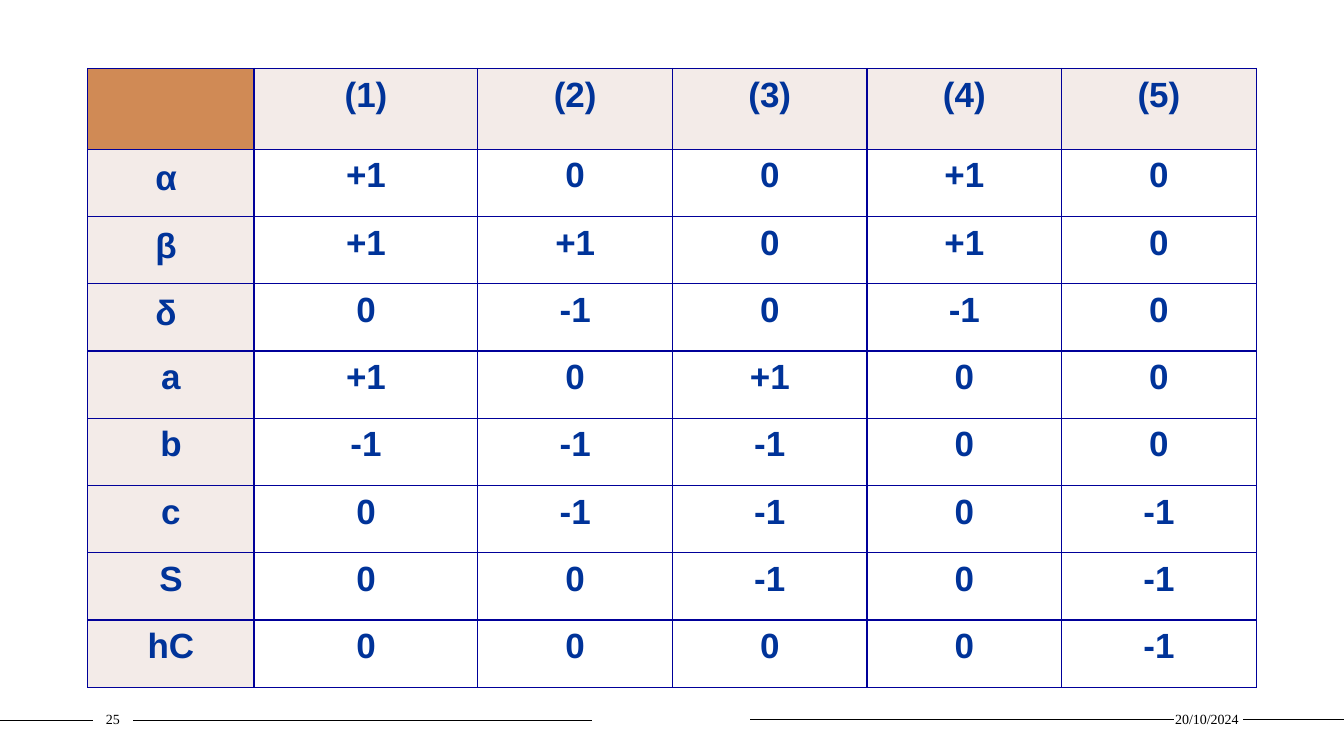
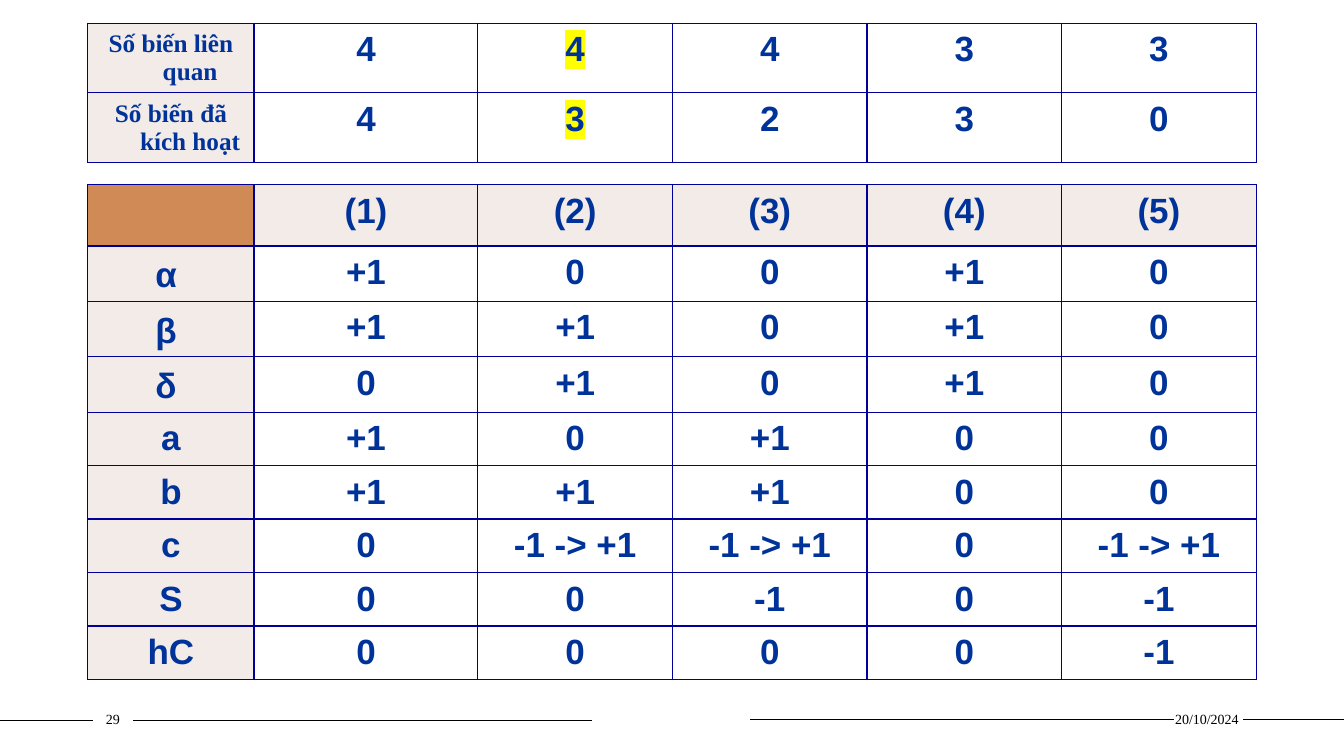
from dataclasses import dataclass
from typing import NamedTuple

from lxml import etree
from pptx import Presentation
from pptx import util as u
from pptx.dml.color import RGBColor
from pptx.enum import shapes, text
from pptx.oxml import ns


@dataclass(frozen=True)
class Theme:
    """Colours, fonts and type sizes of the deck."""
    ink: str = "003399"
    rule: str = "000099"
    black: str = "000000"
    paper: str = "FFFFFF"
    head: str = "F3EBE8"
    corner: str = "D08A55"
    mark: str = "FFFF00"
    sans: str = "Arial"
    serif: str = "Times New Roman"
    big: float = 25
    label: float = 18
    small: float = 10


class Rule(NamedTuple):
    """A footer line; all in inches."""
    left: float
    right: float
    y: float


class Row(NamedTuple):
    """A table row: label, values, height and top inset in inches."""
    label: str
    vals: list[str]
    high: float
    top: float = 0.07


T = Theme()
WIDE, HIGH = 13.33, 7.5
LEFT = 0.87
COLS = [1.65, 2.22] + [1.93] * 4
HANG = 0.38
SIDE = 0.12  # side inset of a cell
HEADS = ["(1)", "(2)", "(3)", "(4)", "(5)"]
NAMES = ["α ", "β ", "δ ", "a", "b", "c", "S", "hC"]
GREEK = 3  # leading names set a little lower
RULES = [Rule(0, 0.92, 7.15), Rule(1.32, 5.87, 7.15),
         Rule(7.44, 11.64, 7.14), Rule(12.33, WIDE, 7.14)]
DATE = "20/10/2024"

START = [
    ["+1", "0", "0", "+1", "0"],
    ["+1", "+1", "0", "+1", "0"],
    ["0", "-1", "0", "-1", "0"],
    ["+1", "0", "+1", "0", "0"],
    ["-1", "-1", "-1", "0", "0"],
    ["0", "-1", "-1", "0", "-1"],
    ["0", "0", "-1", "0", "-1"],
    ["0", "0", "0", "0", "-1"],
]
FLIP = "-1 -> +1"
SOLVED = START[:2] + [
    ["0", "+1", "0", "+1", "0"],
    START[3],
    ["+1", "+1", "+1", "0", "0"],
    ["0", FLIP, FLIP, "0", FLIP],
] + START[6:]


def rgb(code: str) -> RGBColor:
    return RGBColor.from_string(code)


def style(para, font: str, size: float, color: str, bold: bool) -> None:
    """Centre a paragraph and set its font."""
    para.alignment = text.PP_ALIGN.CENTER
    face = para.font
    face.name, face.size, face.bold = font, u.Pt(size), bold
    face.color.rgb = rgb(color)


def edge(cell) -> None:
    """Draw the four borders of a cell."""
    props = cell._tc.get_or_add_tcPr()
    for side in "LRTB":
        line = etree.SubElement(props, ns.qn(f"a:ln{side}"), w=str(u.Pt(1)))
        fill = etree.SubElement(line, ns.qn("a:solidFill"))
        etree.SubElement(fill, ns.qn("a:srgbClr"), val=T.rule)


def mark(run) -> None:
    """Highlight a run."""
    props = run._r.get_or_add_rPr()
    light = etree.SubElement(props, ns.qn("a:highlight"))
    etree.SubElement(light, ns.qn("a:srgbClr"), val=T.mark)


def write(cell, words: str, fill: str, top: float, font: str = T.sans,
          size: float = T.big, lit: bool = False) -> None:
    """Fill one table cell; no bottom inset, so rows keep their height."""
    edge(cell)
    cell.fill.solid()
    cell.fill.fore_color.rgb = rgb(fill)
    cell.margin_left = cell.margin_right = u.Inches(SIDE)
    cell.margin_top, cell.margin_bottom = u.Inches(top), 0
    if not words:
        return
    para = cell.text_frame.paragraphs[0]
    run = para.add_run()
    run.text = words
    style(para, font, size, T.ink, True)
    props = para._p.get_or_add_pPr()
    props.set("marL", str(u.Inches(HANG)))
    props.set("indent", str(-u.Inches(HANG)))
    if lit:
        mark(run)


def grid(slide, top: float, rows: list[Row], head: bool = True,
         font: str = T.sans, size: float = T.big, lit: int = 0) -> None:
    """Draw a table; lit is the column to highlight, if any."""
    tall = sum(row.high for row in rows)
    table = slide.shapes.add_table(
        len(rows), len(COLS), u.Inches(LEFT), u.Inches(top),
        u.Inches(sum(COLS)), u.Inches(tall)).table
    table.first_row = table.horz_banding = False
    for col, wide in zip(table.columns, COLS):
        col.width = u.Inches(wide)
    for r, row in enumerate(rows):
        table.rows[r].height = u.Inches(row.high)
        first = head and r == 0
        write(table.cell(r, 0), row.label, T.corner if first else T.head,
              row.top, font, size)
        for c, val in enumerate(row.vals, 1):
            write(table.cell(r, c), val, T.head if first else T.paper, 0.07,
                  lit=c == lit)


def matrix(vals: list[list[str]], head: float, greek: float,
           latin: float) -> list[Row]:
    """Join the header row with one row per variable."""
    rows = [Row("", HEADS, head)]
    for n, (name, line) in enumerate(zip(NAMES, vals)):
        low = n < GREEK
        rows.append(Row(name, line, greek if low else latin,
                        0.1 if low else 0.07))
    return rows


def note(slide, words: str, left: float, wide: float) -> None:
    """Write one footer text."""
    box = slide.shapes.add_textbox(u.Inches(left), u.Inches(7),
                                   u.Inches(wide), u.Inches(0.27))
    frame = box.text_frame
    frame.word_wrap = True
    frame.margin_left = frame.margin_right = 0
    frame.vertical_anchor = text.MSO_ANCHOR.MIDDLE
    frame.text = words
    style(frame.paragraphs[0], T.serif, T.small, T.black, False)


def foot(slide, number: int) -> None:
    """Write the date and the page number."""
    note(slide, DATE, 11.62, 0.7)
    note(slide, str(number), 0.92, 0.4)


def share(slide, layout) -> None:
    """Draw the footer lines once and hand them to the layout."""
    for rule in RULES:
        line = slide.shapes.add_connector(
            shapes.MSO_CONNECTOR.STRAIGHT, u.Inches(rule.left),
            u.Inches(rule.y), u.Inches(rule.right), u.Inches(rule.y))
        line.line.color.rgb = rgb(T.black)
        line.line.width = u.Pt(1)
        etree.SubElement(line.element.spPr, ns.qn("a:effectLst"))
        layout.shapes.element.append(line.element)


def main() -> None:
    deck = Presentation()
    deck.slide_width, deck.slide_height = u.Inches(WIDE), u.Inches(HIGH)
    blank = deck.slide_layouts[6]

    # Starting matrix
    slide = deck.slides.add_slide(blank)
    share(slide, blank)
    foot(slide, 25)
    step = (6.14 - 0.8) / len(NAMES)
    grid(slide, 0.68, matrix(START, 0.8, step, step))

    # Solved matrix below the counts of variables
    slide = deck.slides.add_slide(blank)
    foot(slide, 29)
    grid(slide, 1.83, matrix(SOLVED, 0.61, 0.55, 0.53))
    counts = [Row("Số biến liên quan", ["4", "4", "4", "3", "3"], 0.69),
              Row("Số biến đã kích hoạt", ["4", "3", "2", "3", "0"], 0.69)]
    grid(slide, 0.23, counts, head=False, font=T.serif, size=T.label, lit=2)

    deck.save("out.pptx")


if __name__ == "__main__":
    main()
